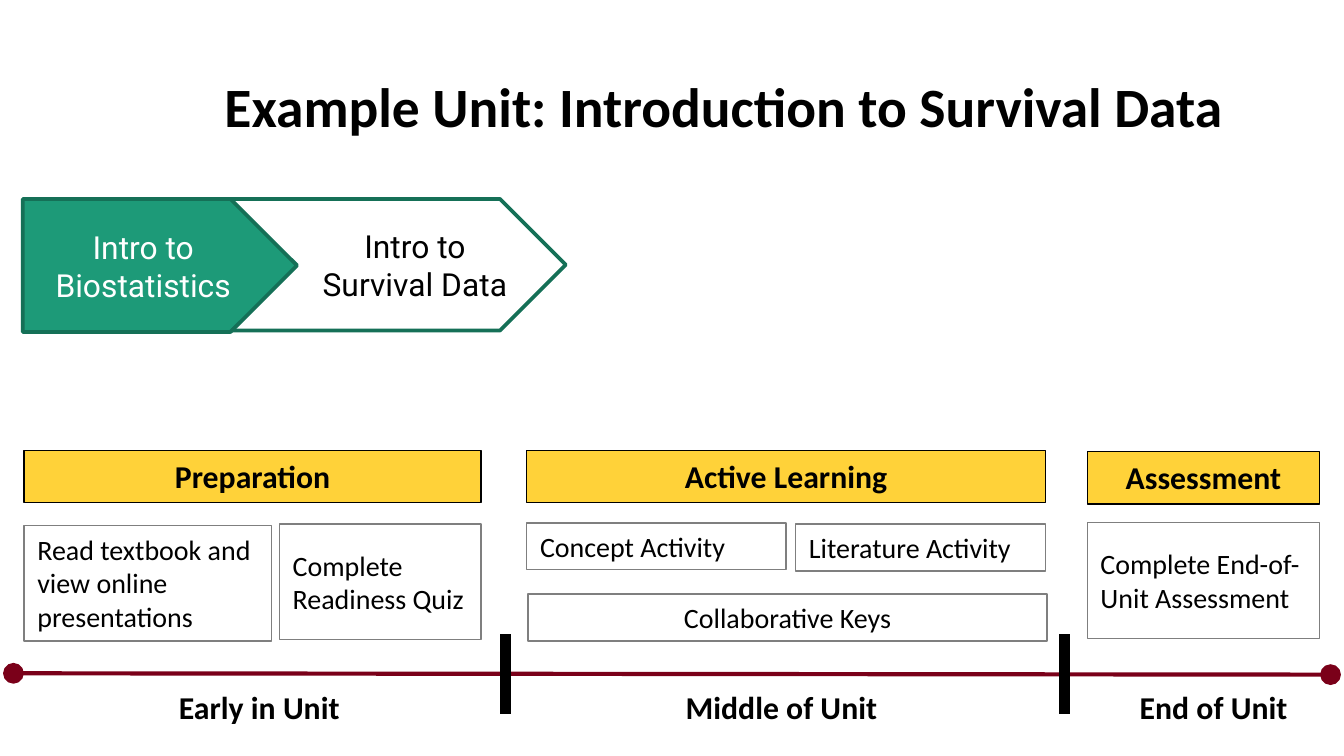
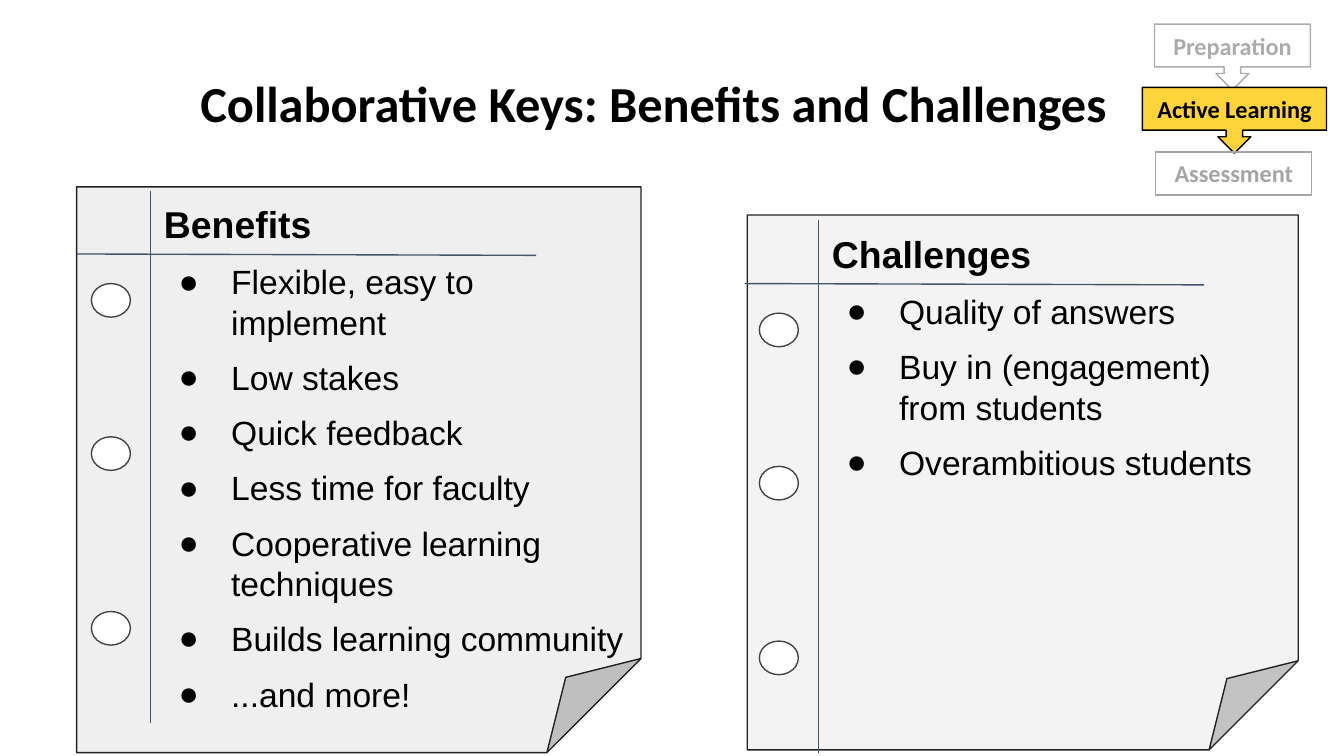
from dataclasses import dataclass
from typing import Optional

from lxml.etree import SubElement
from pptx import Presentation
from pptx.dml.color import RGBColor
from pptx.enum.shapes import MSO_CONNECTOR as Connector, MSO_SHAPE as Preset
from pptx.enum.text import MSO_ANCHOR as Anchor, MSO_AUTO_SIZE as AutoSize, PP_ALIGN as Align
from pptx.oxml.ns import qn
from pptx.util import Inches, Pt

BLACK = RGBColor(0x00, 0x00, 0x00)
WHITE = RGBColor(0xFF, 0xFF, 0xFF)
MAROON = RGBColor(0x7A, 0x00, 0x19)
GOLD = RGBColor(0xFF, 0xD2, 0x39)
STAGE_GOLD = RGBColor(0xFF, 0xD3, 0x3A)
GREEN = RGBColor(0x1D, 0x9A, 0x78)
DARK_GREEN = RGBColor(0x15, 0x70, 0x57)
TASK_GRAY = RGBColor(0x7F, 0x7F, 0x7F)
STAGE_GRAY = RGBColor(0xAE, 0xAB, 0xAB)
LAST_STAGE_GRAY = RGBColor(0xA5, 0xA5, 0xA5)
SHEET_GRAY = RGBColor(0xEF, 0xEF, 0xEF)
LIGHT_SHEET_GRAY = RGBColor(0xF3, 0xF3, 0xF3)
SHEET_EDGE = RGBColor(0x22, 0x22, 0x22)
HOLE_EDGE = RGBColor(0x43, 0x43, 0x43)
RULE_BLUE = RGBColor(0x44, 0x54, 0x6A)

HEADER_FONT = {"name": "Calibri", "size": Pt(17), "bold": True}
TASK_FONT = {"name": "Calibri", "size": Pt(15), "bold": False}
STAGE_FONT = {"name": "Calibri", "size": Pt(13), "bold": True}
UNIT_FONT = {"name": "Roboto", "size": Pt(17), "bold": False}
LIST_HEAD_FONT = {"name": "Arial", "size": Pt(20), "bold": True}
LIST_ITEM_FONT = {"name": "Arial", "size": Pt(18), "bold": False}


@dataclass
class Box:
    """A bordered shape with optional text, lengths in inches."""

    text: str
    left: float
    top: float
    width: float
    height: float
    font: Optional[dict] = None
    color: RGBColor = BLACK
    fill: Optional[RGBColor] = None
    edge: Optional[RGBColor] = None
    edge_width: float = 0.75
    preset: Preset = Preset.RECTANGLE
    align: Align = Align.CENTER
    anchor: Anchor = Anchor.TOP
    inset_left: float = 0.1
    grow: bool = True


@dataclass
class NotebookSheet:
    """A punched paper sheet with a headed list beside its margin."""

    heading: str
    items: list[str]
    left: float
    top: float
    width: float
    height: float
    fill: RGBColor
    margin: float
    list_top: float
    list_width: float
    list_height: float
    inset_right: float


def header(text: str, left: float, top: float, width: float) -> Box:
    """Describe a gold phase header."""
    return Box(text, left, top, width, 0.39, HEADER_FONT, fill=GOLD, edge=BLACK)


def task(text: str, left: float, top: float, width: float, height: float,
         align: Align = Align.LEFT, anchor: Anchor = Anchor.TOP) -> Box:
    """Describe a gray-bordered task."""
    return Box(text, left, top, width, height, TASK_FONT, edge=TASK_GRAY,
               align=align, anchor=anchor)


def period(text: str, left: float, width: float) -> Box:
    """Describe a label under the timeline."""
    return Box(text, left, 5.07, width, 0.39, HEADER_FONT)


def unit(text: str, left: float, width: float, height: float, color: RGBColor,
         fill: RGBColor, inset_left: float) -> Box:
    """Describe a course unit pentagon."""
    return Box(text, left, 1.48, width, height, UNIT_FONT, color, fill, DARK_GREEN, 2,
               Preset.PENTAGON, anchor=Anchor.MIDDLE, inset_left=inset_left, grow=False)


UNITS = [
    unit("Intro to Survival Data", 1.71, 2.5, 0.98, BLACK, WHITE, 0.6),
    unit("Intro to Biostatistics", 0.17, 2.04, 0.99, WHITE, GREEN, 0.1),
]
PHASES = [
    task("Collaborative Keys", 3.93, 4.42, 3.86, 0.35, Align.CENTER),
    header("Preparation", 0.18, 3.35, 3.4),
    task("Read textbook and view online presentations", 0.18, 3.91, 1.84, 0.86),
    task("Complete Readiness Quiz", 2.08, 3.9, 1.5, 0.86, anchor=Anchor.MIDDLE),
    header("Active Learning", 3.92, 3.35, 3.86),
    task("Concept Activity", 3.92, 3.89, 1.93, 0.35),
    task("Literature Activity", 5.92, 3.9, 1.86, 0.35),
    header("Assessment", 8.09, 3.36, 1.73),
    task("Complete End-of-Unit Assessment", 8.09, 3.89, 1.73, 0.86, anchor=Anchor.MIDDLE),
]
PERIODS = [
    period("Early in Unit", 0.26, 3.34),
    period("Middle of Unit", 3.9, 3.83),
    period("End of Unit", 8.09, 1.88),
]
STAGES = [
    Box("Preparation", 8.59, 0.18, 1.16, 0.49, STAGE_FONT, STAGE_GRAY,
        edge=STAGE_GRAY, preset=Preset.DOWN_ARROW_CALLOUT),
    Box("Active Learning", 8.5, 0.65, 1.37, 0.49, STAGE_FONT, fill=STAGE_GOLD,
        edge=BLACK, preset=Preset.DOWN_ARROW_CALLOUT),
    Box("Assessment", 8.6, 1.13, 1.16, 0.32, STAGE_FONT, LAST_STAGE_GRAY,
        edge=LAST_STAGE_GRAY),
]
SHEETS = [
    NotebookSheet(
        "Benefits",
        ["Flexible, easy to implement", "Low stakes", "Quick feedback",
         "Less time for faculty", "Cooperative learning techniques",
         "Builds learning community", "...and more!"],
        0.57, 1.39, 4.2, 4.21, SHEET_GRAY, 1.12, 1.4, 3.54, 3.96, 0.02),
    NotebookSheet(
        "Challenges",
        ["Quality of answers", "Buy in (engagement) from students",
         "Overambitious students"],
        5.56, 1.6, 4.1, 3.98, LIGHT_SHEET_GRAY, 6.09, 1.62, 3.33, 3.98, 0.1),
]


def apply(target, values: dict) -> None:
    """Set each named attribute of the target."""
    for name, value in values.items():
        setattr(target, name, value)


def place(shape, left: float, top: float, width: float, height: float) -> None:
    """Move and size a shape, in inches."""
    apply(shape, {"left": Inches(left), "top": Inches(top),
                  "width": Inches(width), "height": Inches(height)})


def set_frame(frame, left: float = 0.1, right: float = 0.1, vertical: float = 0.1,
              anchor: Anchor = Anchor.TOP, auto_size: AutoSize = AutoSize.NONE) -> None:
    """Set insets, anchor, wrapping and fitting of a text frame."""
    apply(frame, {"margin_left": Inches(left), "margin_right": Inches(right),
                  "margin_top": Inches(vertical), "margin_bottom": Inches(vertical),
                  "vertical_anchor": anchor, "word_wrap": True, "auto_size": auto_size})


def write(paragraph, text: str, font: dict, color: RGBColor = BLACK) -> None:
    """Add one formatted run to a paragraph."""
    run = paragraph.add_run()
    run.text = text
    apply(run.font, font)
    run.font.color.rgb = color


def set_title(slide, text: str, left: float, width: float, size: float) -> None:
    """Fill and place the title placeholder."""
    title = slide.shapes.title
    place(title, left, 0.49, width, 0.63)
    set_frame(title.text_frame)
    paragraph = title.text_frame.paragraphs[0]
    apply(paragraph, {"alignment": Align.LEFT, "line_spacing": 0.9})
    write(paragraph, text, {"name": "Calibri", "size": Pt(size), "bold": True})


def draw_box(slide, box: Box):
    """Draw a box and return its shape."""
    area = [Inches(v) for v in (box.left, box.top, box.width, box.height)]
    if box.edge is None:
        shape = slide.shapes.add_textbox(*area)
    else:
        shape = slide.shapes.add_shape(box.preset, *area)
        shape.shadow.inherit = False
        shape.line.color.rgb = box.edge
        shape.line.width = Pt(box.edge_width)
        if box.fill is None:
            shape.fill.background()
        else:
            shape.fill.solid()
            shape.fill.fore_color.rgb = box.fill
    if box.text:
        set_frame(shape.text_frame, box.inset_left, 0.1, 0.05, box.anchor,
                  AutoSize.SHAPE_TO_FIT_TEXT if box.grow else AutoSize.NONE)
        paragraph = shape.text_frame.paragraphs[0]
        paragraph.alignment = box.align
        write(paragraph, box.text, box.font, box.color)
    return shape


def draw_line(slide, start: tuple[float, float], end: tuple[float, float],
              color: RGBColor, width: float, oval_ends: bool = False) -> None:
    """Draw a straight line, with large round ends when asked."""
    line = slide.shapes.add_connector(
        Connector.STRAIGHT, *[Inches(v) for v in (*start, *end)])
    line.line.color.rgb = color
    line.line.width = Pt(width)
    properties = line.element.spPr
    if oval_ends:
        outline = properties.find(qn("a:ln"))
        for tag in ("a:headEnd", "a:tailEnd"):
            SubElement(outline, qn(tag), type="oval", w="lg", len="lg")
    SubElement(properties, qn("a:effectLst"))


def set_bullet(paragraph) -> None:
    """Give a paragraph a black round bullet and a hanging indent."""
    properties = paragraph._p.get_or_add_pPr()
    properties.set("marL", str(Inches(0.5)))
    properties.set("indent", str(Inches(-0.39)))
    color = SubElement(properties, qn("a:buClr"))
    SubElement(color, qn("a:srgbClr"), val=str(BLACK))
    SubElement(properties, qn("a:buFont"), typeface="Arial")
    SubElement(properties, qn("a:buChar"), char="●")


def fill_list(frame, sheet: NotebookSheet) -> None:
    """Write a sheet's heading and bulleted items."""
    set_frame(frame, right=sheet.inset_right)
    heading = frame.paragraphs[0]
    properties = heading._p.get_or_add_pPr()
    properties.set("marL", "0")
    properties.set("indent", "0")
    SubElement(properties, qn("a:buNone"))
    heading.space_before = Pt(0)
    write(heading, sheet.heading, LIST_HEAD_FONT)
    for item in sheet.items:
        paragraph = frame.add_paragraph()
        set_bullet(paragraph)
        paragraph.space_before = Pt(8)
        write(paragraph, item, LIST_ITEM_FONT)


def draw_sheet(slide, sheet: NotebookSheet, body) -> None:
    """Draw a notebook sheet behind its list, with holes and rules."""
    paper = draw_box(slide, Box("", sheet.left, sheet.top, sheet.width, sheet.height,
                                fill=sheet.fill, edge=SHEET_EDGE,
                                preset=Preset.FOLDED_CORNER))
    body.element.addprevious(paper.element)
    place(body, sheet.margin, sheet.list_top, sheet.list_width, sheet.list_height)
    fill_list(body.text_frame, sheet)
    margin, top = sheet.margin, sheet.list_top
    for drop in (0.71, 1.85, 3.15):
        draw_box(slide, Box("", margin - 0.44, top + drop, 0.29, 0.25, fill=WHITE,
                            edge=HOLE_EDGE, preset=Preset.FLOWCHART_CONNECTOR))
    draw_line(slide, (margin - 0.55, top + 0.49), (margin + 2.87, top + 0.5), RULE_BLUE, 0.75)
    draw_line(slide, (margin, top + 0.02), (margin, top + 3.98), RULE_BLUE, 0.75)


def build_unit_slide(deck) -> None:
    """Build the example unit timeline."""
    slide = deck.slides.add_slide(deck.slide_layouts.get_by_name("Title Only"))
    set_title(slide, "Example Unit: Introduction to Survival Data", 1.57, 8.09, 29.7)
    for box in UNITS:
        draw_box(slide, box)
    draw_line(slide, (0.1, 5.01), (9.9, 5.02), MAROON, 2.25, oval_ends=True)
    for box in PHASES + PERIODS:
        draw_box(slide, box)
    for divider in (3.76, 7.92):
        draw_line(slide, (divider, 4.72), (divider, 5.31), BLACK, 6)


def build_keys_slide(deck) -> None:
    """Build the benefits and challenges sheets."""
    slide = deck.slides.add_slide(deck.slide_layouts.get_by_name("Two Content"))
    set_title(slide, "Collaborative Keys: Benefits and Challenges", 1.39, 8.27, 27)
    for stage in STAGES:
        draw_box(slide, stage)
    for sheet, body in zip(SHEETS, list(slide.placeholders)[1:3]):
        draw_sheet(slide, sheet, body)


def main() -> None:
    """Build and save the deck."""
    deck = Presentation()
    deck.slide_width, deck.slide_height = Inches(10), Inches(10 * 9 / 16)
    build_unit_slide(deck)
    build_keys_slide(deck)
    deck.save("out.pptx")


if __name__ == "__main__":
    main()
